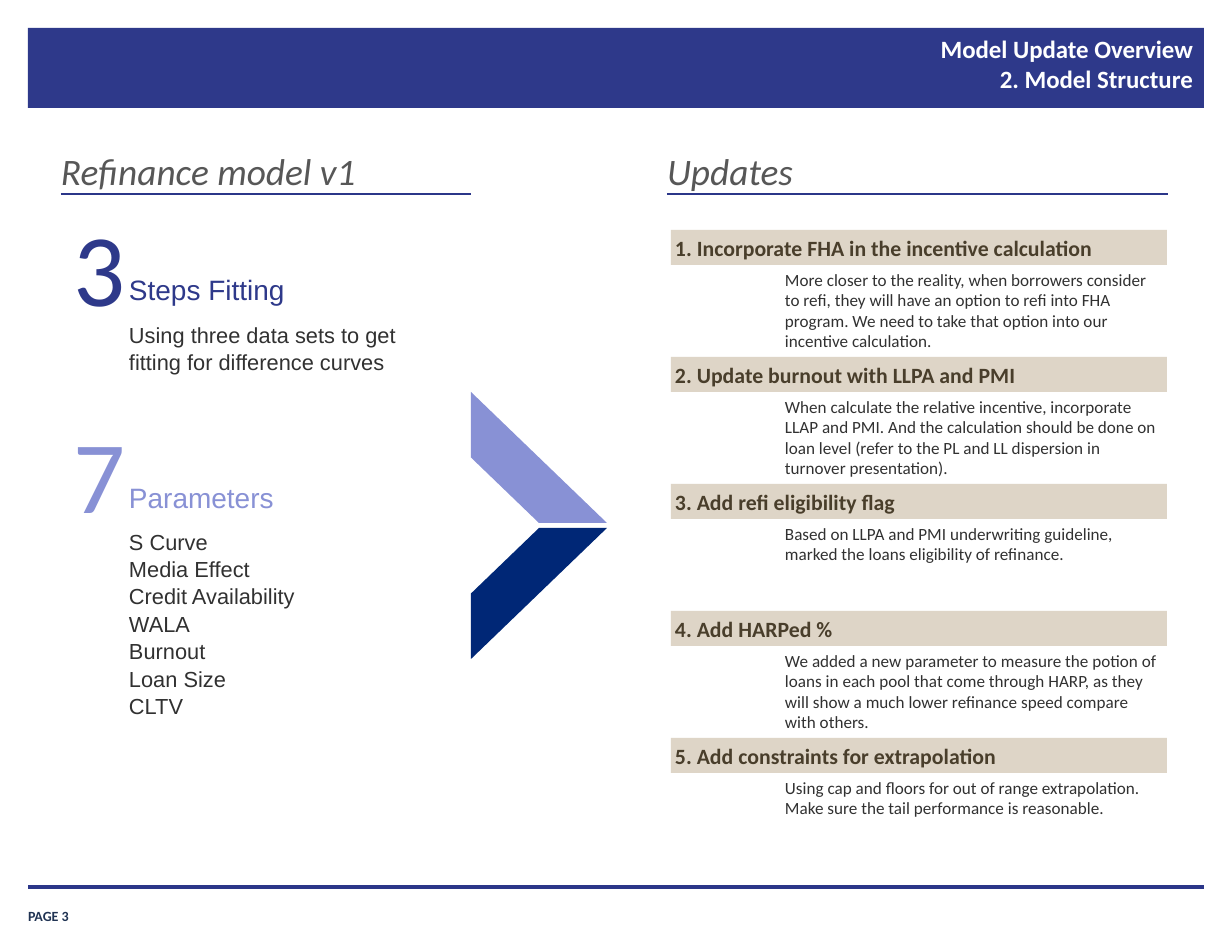
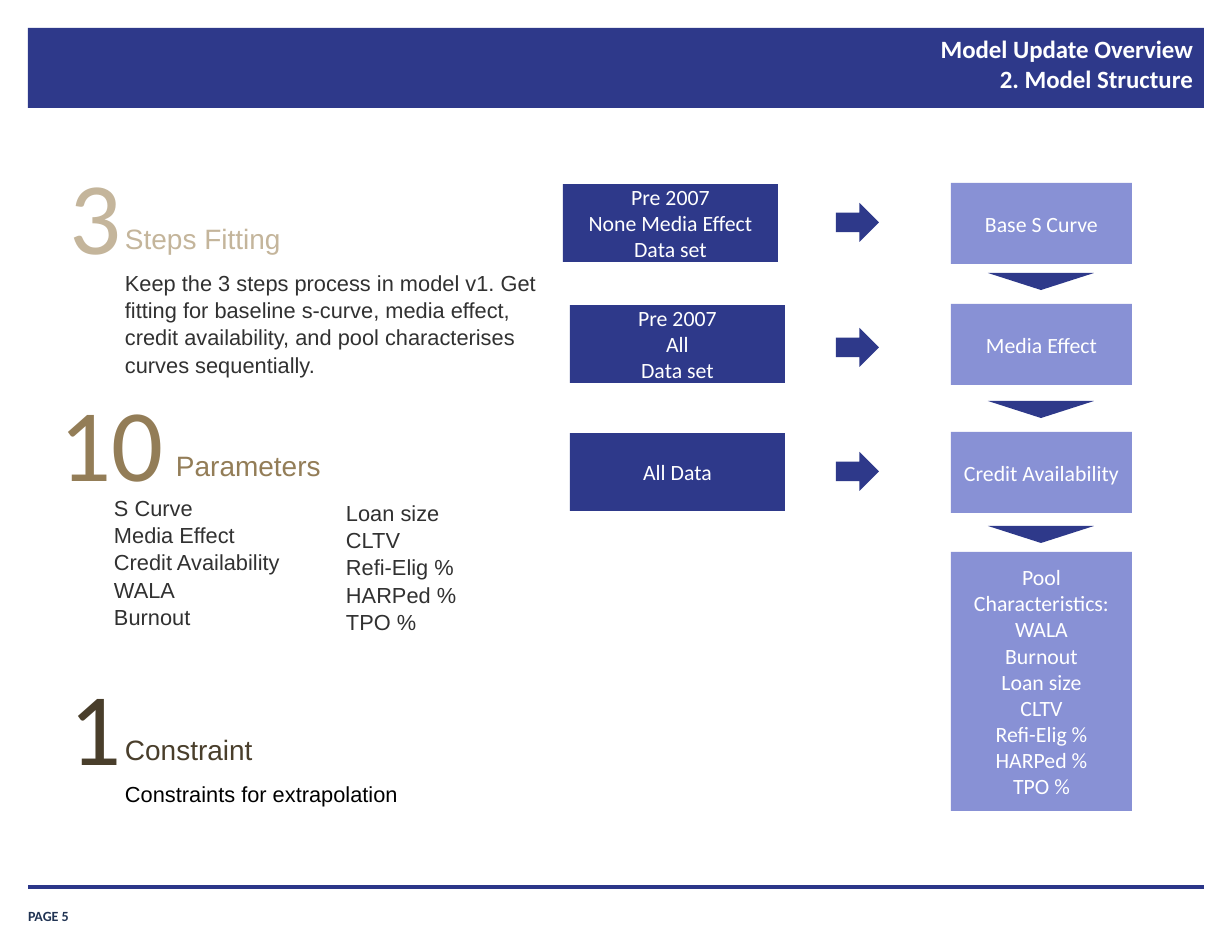
from pptx import Presentation
from pptx.dml.color import RGBColor
from pptx.enum.shapes import MSO_CONNECTOR, MSO_SHAPE
from pptx.enum.text import MSO_ANCHOR, PP_ALIGN
from pptx.oxml.ns import qn
from pptx.util import Pt
from lxml import etree

EMU_PER_PX = 914400 / 112

NAVY = RGBColor(0x2E, 0x39, 0x8A)
RULE = RGBColor(0x2B, 0x36, 0x89)
DEEP_BLUE = RGBColor(0x00, 0x27, 0x76)
FOOTER_BLUE = RGBColor(0x20, 0x33, 0x53)
LAVENDER = RGBColor(0x88, 0x91, 0xD5)
SAND = RGBColor(0xDE, 0xD5, 0xC7)
TAN = RGBColor(0xC4, 0xB5, 0x9B)
BRONZE = RGBColor(0x93, 0x7D, 0x57)
BROWN = RGBColor(0x49, 0x3E, 0x2B)
GRAY = RGBColor(0x57, 0x57, 0x57)
INK = RGBColor(0x31, 0x31, 0x31)
BLACK = RGBColor(0, 0, 0)
WHITE = RGBColor(0xFF, 0xFF, 0xFF)

RECTANGLE = MSO_SHAPE.RECTANGLE
STRIPE = MSO_SHAPE.DIAGONAL_STRIPE
RIGHT_ARROW = MSO_SHAPE.RIGHT_ARROW
TRIANGLE = MSO_SHAPE.ISOSCELES_TRIANGLE
STRAIGHT = MSO_CONNECTOR.STRAIGHT
TOP, MIDDLE, BOTTOM = MSO_ANCHOR.TOP, MSO_ANCHOR.MIDDLE, MSO_ANCHOR.BOTTOM
LEFT, CENTER, RIGHT = PP_ALIGN.LEFT, PP_ALIGN.CENTER, PP_ALIGN.RIGHT

SANS, ARIAL = "Calibri", "Arial"
DEFAULT_INSETS = (11, 6, 11, 6)
NO_INSETS = (0, 0, 0, 0)

UPDATES = [
    ("1. Incorporate FHA in the incentive calculation",
     "More closer to the reality, when borrowers consider to refi, they will have an option "
     "to refi into FHA program. We need to take that option into our incentive calculation.", 92),
    ("2. Update burnout with LLPA and PMI",
     "When calculate the relative incentive, incorporate LLAP and PMI. And the calculation should "
     "be done on loan level (refer to the PL and LL dispersion in turnover presentation).", 92),
    ("3. Add refi eligibility flag",
     "Based on LLPA and PMI underwriting guideline, marked the loans eligibility of refinance.", 50),
    ("4. Add HARPed %",
     "We added a new parameter to measure the potion of loans in each pool that come through HARP, "
     "as they will show a much lower refinance speed compare with others.", 92),
    ("5. Add constraints for extrapolation",
     "Using cap and floors for out of range extrapolation. "
     "Make sure the tail performance is reasonable.", 50),
]
DATA_SETS = [
    (563, 184, "Pre 2007\nNone Media Effect\nData set"),
    (570, 305, "Pre 2007\nAll\nData set"),
    (570, 433, "All Data"),
]
STAGES = [
    (183, 81, "Base S Curve"),
    (304, 81, "Media Effect"),
    (432, 81, "Credit Availability"),
    (552, 259, "Pool Characteristics:\nWALA\nBurnout\nLoan size\nCLTV\nRefi-Elig %\nHARPed %\nTPO %"),
]
ARROW_TOPS = [203, 328, 452]
TRIANGLE_TOPS = [273, 401, 526]


def px(*lengths):
    """Turn pixel lengths into EMU."""
    return [round(length * EMU_PER_PX) for length in lengths]


def write(box, text, size, color, font=SANS, bold=False, italic=False,
          align=LEFT, anchor=TOP, insets=DEFAULT_INSETS, spacing=None):
    """Fill a box with text, one paragraph per line, in one style."""
    frame = box.text_frame
    frame.text = text
    frame.word_wrap = True
    frame.vertical_anchor = anchor
    (frame.margin_left, frame.margin_top,
     frame.margin_right, frame.margin_bottom) = px(*insets)
    for para in frame.paragraphs:
        para.alignment = align
        para.line_spacing = spacing
        for span in para.runs:
            span.font.name = font
            span.font.size = Pt(size)
            span.font.bold = bold
            span.font.italic = italic
            span.font.color.rgb = color


def add_text(page, area, text, size, color, **style):
    """Add a text box."""
    write(page.shapes.add_textbox(*px(*area)), text, size, color, **style)


def add_block(page, area, color, kind=RECTANGLE):
    """Add a flat filled shape without outline."""
    block = page.shapes.add_shape(kind, *px(*area))
    block.shadow.inherit = False
    block.fill.solid()
    block.fill.fore_color.rgb = color
    block.line.fill.background()
    return block


def add_rule(page, left, right, top, width):
    """Add a horizontal rule."""
    rule = page.shapes.add_connector(STRAIGHT, *px(left, top, right, top))
    rule.line.color.rgb = RULE
    rule.line.width = Pt(width)
    etree.SubElement(rule.element.spPr, qn("a:effectLst"))


def add_page(deck, number):
    """Add a page with its title band and footer."""
    page = deck.slides.add_slide(deck.slide_layouts[6])
    add_block(page, (28, 28, 1176, 80), NAVY)
    add_text(page, (28, 898, 102, 26), f"PAGE {number}", 9, FOOTER_BLUE,
             bold=True, anchor=BOTTOM, insets=NO_INSETS)
    add_rule(page, 28, 1204, 887, 2)
    add_text(page, (371, 27, 833, 83), "Model Update Overview\n2. Model Structure",
             16, WHITE, bold=True, align=RIGHT, insets=(11, 7, 11, 7))
    return page


def add_heading(page, left, right, text):
    """Add an underlined italic column heading."""
    add_text(page, (left, 148, 623, 45), text, 24, GRAY, italic=True, insets=NO_INSETS)
    add_rule(page, left, right, 194, 0.75)


def add_body(page, area, text, color=INK):
    """Add body text in the counter style."""
    add_text(page, area, text, 14, color, font=ARIAL, spacing=1.05)


def add_counter(page, left, top, number, label, color, width=45):
    """Add a large number with its label beside it."""
    add_text(page, (left, top, width, 124), number, 66, color, align=CENTER, insets=NO_INSETS)
    add_text(page, (left + width, top + 63, 222, 45), label, 18, color, font=ARIAL)


def add_update(page, top, title, detail, height):
    """Add a titled bar with its indented detail."""
    bar = add_block(page, (671, top, 496, 35), SAND)
    write(bar, title, 14, BROWN, bold=True, anchor=MIDDLE, insets=(4, 4, 4, 4))
    add_text(page, (725, top + 35, 442, height), detail, 11, INK, insets=(60, 4, 4, 4))


def add_step(page, area, text, color):
    """Add a flow box with centred text."""
    write(add_block(page, area, color), text, 14, WHITE, align=CENTER, anchor=MIDDLE)


def build_updates_page(deck):
    """Build the page that lists the model updates."""
    page = add_page(deck, 3)
    add_heading(page, 61, 471, "Refinance model v1")
    add_heading(page, 667, 1168, "Updates")
    add_counter(page, 73, 204, "3", "Steps Fitting", NAVY)
    add_body(page, (118, 314, 332, 64),
             "Using three data sets to get fitting for difference curves")
    add_counter(page, 73, 411, "7", "Parameters", LAVENDER)
    add_body(page, (118, 521, 332, 196),
             "S Curve\nMedia Effect\nCredit Availability\nWALA\nBurnout\nLoan Size\nCLTV")
    add_block(page, (471, 528, 136, 131), DEEP_BLUE, STRIPE)
    upper_stripe = add_block(page, (471, 392, 136, 131), LAVENDER, STRIPE)
    upper_stripe.element.spPr.get_or_add_xfrm().set("flipV", "1")
    for index, update in enumerate(UPDATES):
        add_update(page, 230 + 127 * index, *update)


def build_flow_page(deck):
    """Build the page that shows the fitting flow."""
    page = add_page(deck, 5)
    add_counter(page, 69, 152, "3", "Steps Fitting", TAN)
    add_body(page, (114, 262, 445, 116),
             "Keep the 3 steps process in model v1. Get fitting for baseline s-curve, media effect, "
             "credit availability, and pool characterises curves sequentially.")
    add_counter(page, 58, 379, "10", "Parameters", BRONZE, width=107)
    add_body(page, (103, 487, 332, 143),
             "S Curve\nMedia Effect\nCredit Availability\nWALA\nBurnout")
    add_body(page, (335, 492, 332, 143), "Loan size\nCLTV\nRefi-Elig %\nHARPed %\nTPO %")
    add_counter(page, 69, 663, "1", "Constraint", BROWN)
    add_body(page, (114, 773, 332, 38), "Constraints for extrapolation", BLACK)
    for left, top, text in DATA_SETS:
        add_step(page, (left, top, 215, 78), text, NAVY)
    for top, height, text in STAGES:
        add_step(page, (951, top, 181, height), text, LAVENDER)
    for top in ARROW_TOPS:
        add_block(page, (836, top, 43, 39), NAVY, RIGHT_ARROW)
    for top in TRIANGLE_TOPS:
        add_block(page, (988, top, 106, 17), NAVY, TRIANGLE).rotation = 180


def main():
    """Build and save the deck."""
    deck = Presentation()
    deck.slide_width, deck.slide_height = px(1232, 952)
    build_updates_page(deck)
    build_flow_page(deck)
    deck.save("out.pptx")


if __name__ == "__main__":
    main()
